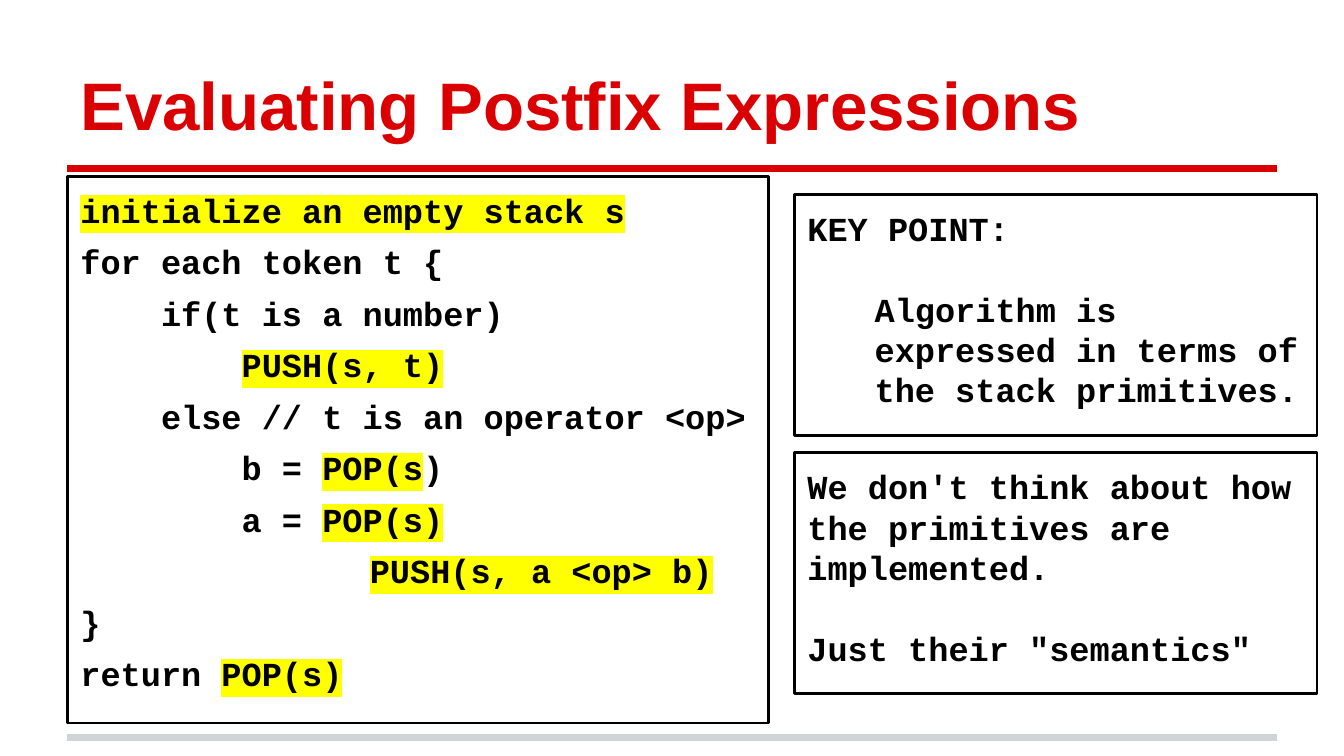
from lxml import etree
from pptx import Presentation
from pptx.dml.color import RGBColor
from pptx.enum import shapes, text
from pptx.oxml import ns
from pptx.util import Cm, Pt

RED, GREY, BLACK, WHITE, YELLOW = "DA0002", "CFD4D4", "000000", "FFFFFF", "FFFF00"
LEFT, RIGHT = 1.27, 24.13
STEP = 1.524

TITLE = "Evaluating Postfix Expressions"
RULES = [(3.18, RED), (13.94, GREY)]
CODE = [
    (0, [("initialize an empty stack s", True)]),
    (0, [("for each token t {", False)]),
    (STEP, [("if(t is a number)", False)]),
    (2 * STEP, [("PUSH(s, t)", True)]),
    (STEP, [("else // t is an operator <op>", False)]),
    (2 * STEP, [("b = ", False), ("POP(s", True), (")", False)]),
    (2 * STEP, [("a = ", False), ("POP(s)", True)]),
    (5.47, [("PUSH(s, a <op> b)", True)]),
    (0, [("}", False)]),
    (0, [("return ", False), ("POP(s)", True)]),
]
NOTES = [
    [(0, "KEY POINT:"),
     (1.27, "Algorithm is expressed in terms of the stack primitives.")],
    [(0, "We don't think about how the primitives are implemented."),
     (0, "Just their \"semantics\"")],
]
NOTE_LEFT, NOTE_TOP, NOTE_WIDTH, NOTE_HEIGHT, NOTE_PITCH = 15.01, 3.68, 9.88, 4.55, 4.88


def color(value):
    return RGBColor.from_string(value)


def add_span(para, words, font="Courier New", size=18, fill=BLACK, marked=False):
    span = para.add_run()
    span.text = words
    span.font.name, span.font.size, span.font.bold = font, Pt(size), True
    span.font.color.rgb = color(fill)
    if marked:
        props = span._r.get_or_add_rPr()
        mark = etree.Element(ns.qn("a:highlight"))
        etree.SubElement(mark, ns.qn("a:srgbClr"), val=YELLOW)
        props.find(ns.qn("a:solidFill")).addnext(mark)


def set_frame(box, anchor=text.MSO_ANCHOR.TOP):
    frame = box.text_frame
    frame.word_wrap = True
    frame.vertical_anchor = anchor
    frame.margin_left = frame.margin_right = Cm(0.254)
    frame.margin_top = frame.margin_bottom = Cm(0.254)
    return frame


def add_panel(page, left, top, width, height, lines, gap, first_gap=0):
    box = page.shapes.add_shape(shapes.MSO_SHAPE.RECTANGLE,
                                Cm(left), Cm(top), Cm(width), Cm(height))
    box.shadow.inherit = False
    box.fill.background()
    box.line.color.rgb = color(BLACK)
    box.line.width = Pt(1.5)
    frame = set_frame(box)
    for index, (indent, spans) in enumerate(lines):
        para = frame.add_paragraph() if index else frame.paragraphs[0]
        para.alignment = text.PP_ALIGN.LEFT
        para.space_before = Pt(gap if index else first_gap)
        para._p.get_or_add_pPr().set("marL", str(Cm(indent)))
        for words, marked in spans:
            add_span(para, words, marked=marked)


def add_rule(page, top, fill):
    rule = page.shapes.add_connector(shapes.MSO_CONNECTOR.STRAIGHT,
                                     Cm(LEFT), Cm(top), Cm(RIGHT), Cm(top))
    rule.line.color.rgb = color(fill)
    rule.line.width = Pt(4)
    etree.SubElement(rule._element.spPr, ns.qn("a:effectLst"))


def main():
    deck = Presentation()
    deck.slide_width, deck.slide_height = Cm(25.4), Cm(14.29)
    page = deck.slides.add_slide(deck.slide_layouts[6])
    page.background.fill.solid()
    page.background.fill.fore_color.rgb = color(WHITE)

    for top, fill in RULES:
        add_rule(page, top, fill)

    title = page.shapes.add_textbox(Cm(LEFT), Cm(0.58), Cm(RIGHT - LEFT), Cm(2.39))
    frame = set_frame(title, text.MSO_ANCHOR.BOTTOM)
    add_span(frame.paragraphs[0], TITLE, font="Arial", size=36, fill=RED)

    add_panel(page, LEFT, 3.33, 13.26, 10.34, CODE, gap=6, first_gap=6)
    for index, note in enumerate(NOTES):
        lines = [(indent, [(words, False)]) for indent, words in note]
        add_panel(page, NOTE_LEFT, NOTE_TOP + index * NOTE_PITCH,
                  NOTE_WIDTH, NOTE_HEIGHT, lines, gap=21.6)

    deck.save("out.pptx")


if __name__ == "__main__":
    main()
